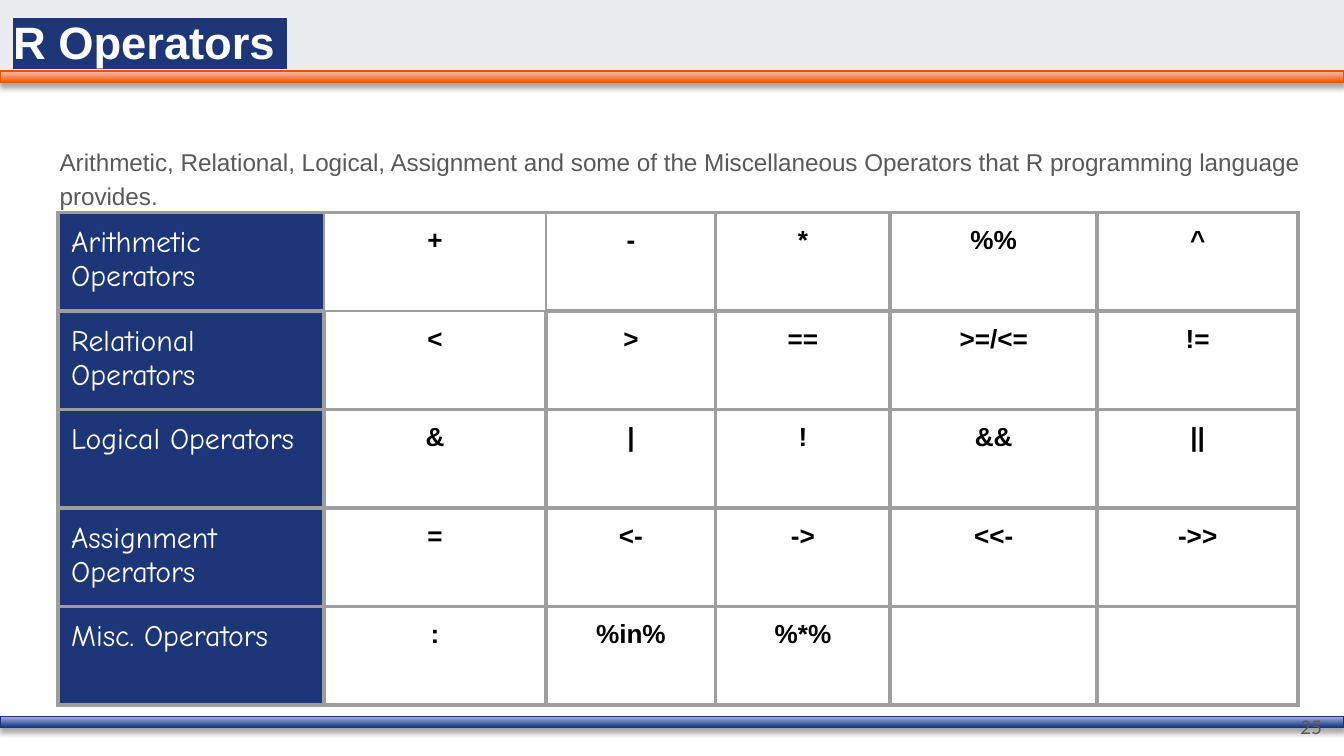
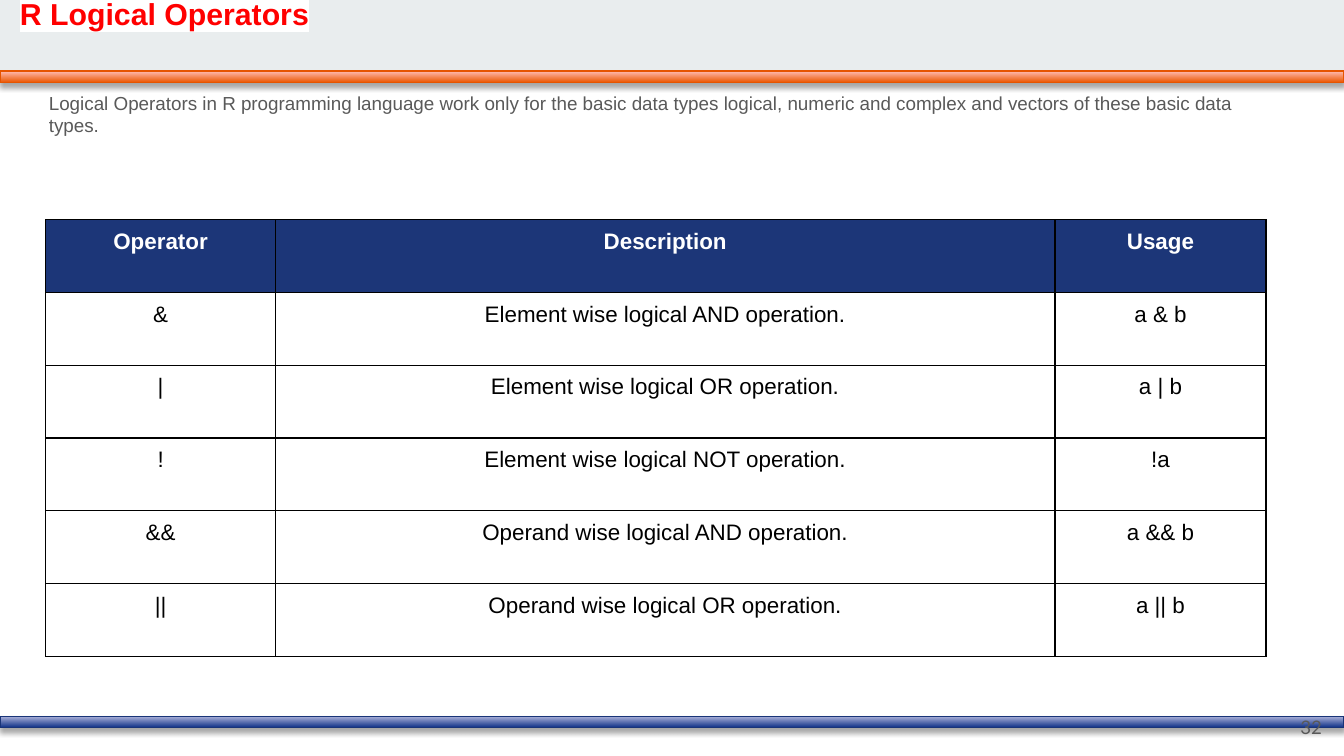
from lxml.etree import SubElement as Sub
from pptx import Presentation
from pptx.dml.color import RGBColor
from pptx.enum.shapes import MSO_SHAPE as Shape
from pptx.enum.text import MSO_ANCHOR as Anchor, PP_ALIGN as Align
from pptx.oxml.ns import qn
from pptx.util import Emu, Pt

SCALE = 4572  # 200 px to the inch
PAGE = (0, 0, 2000, 1125)
NAVY, WHITE, BLACK, GREY = "1C3678", "FFFFFF", "000000", "595959"

HEAD = dict(name="Arial", bold=True)
BODY = dict(name="Arial", color=GREY)
NUMBER = dict(name="Lato", size=10, color=GREY)
LABEL = dict(name="Comic Neue", size=16, color=WHITE)
SIGN = dict(name="Arial", size=14, bold=True, color=BLACK)
TOP = dict(name="Arial", size=12, bold=True, color=WHITE)
CELL = dict(name="Arial", size=12, color=BLACK)

OPS = [
    ["Arithmetic Operators", "+", "-", "*", "%%", "^"],
    ["Relational Operators", "<", ">", "==", ">=/<=", "!="],
    ["Logical Operators", "&", "|", "!", "&&", "||"],
    ["Assignment Operators", "=", "<-", "->", "<<-", "->>"],
    ["Misc. Operators", ":", "%in%", "%*%", "", ""],
]
LOGIC = [
    ["Operator", "Description", "Usage"],
    ["&", "Element wise logical AND operation.", "a & b"],
    ["|", "Element wise logical OR operation.", "a | b"],
    ["!", "Element wise logical NOT operation.", "!a"],
    ["&&", "Operand wise logical AND operation.", "a && b"],
    ["||", "Operand wise logical OR operation.", "a || b"],
]


def px(num):
    return Emu(num * SCALE)


def rgb(code):
    return RGBColor.from_string(code)


def put(item, vals):
    for key, val in vals.items():
        setattr(item, key, val)


def style(font, look):
    """Apply a text look, with its size in points and its colour in hex."""
    vals = dict(look)
    font.color.rgb = rgb(vals.pop("color"))
    vals["size"] = Pt(vals["size"])
    put(font, vals)


def pads(side, rise):
    return dict(margin_left=px(side), margin_right=px(side),
                margin_top=px(rise), margin_bottom=px(rise))


def write(slide, box, text, look, para, anchor=Anchor.TOP, mark=None, left=0):
    frame = slide.shapes.add_textbox(*map(px, box)).text_frame
    put(frame, dict(word_wrap=True, vertical_anchor=anchor, **pads(20, 20)))
    line = frame.paragraphs[0]
    put(line, para)
    if left:
        line._p.get_or_add_pPr().set("marL", str(px(left)))
    run = line.add_run()
    run.text = text
    style(run.font, look)
    if mark:
        props = run._r.get_or_add_rPr()
        tint = Sub(props, qn("a:highlight"))
        Sub(tint, qn("a:srgbClr"), val=mark)
        props.find(qn("a:solidFill")).addnext(tint)


def bar(slide, box, low, high, edge):
    """Thin glossy bar with a soft shadow below it."""
    strip = slide.shapes.add_shape(Shape.RECTANGLE, *map(px, box))
    strip.fill.gradient()
    strip.fill.gradient_angle = 90
    for stop, code in zip(strip.fill.gradient_stops, (low, high)):
        stop.color.rgb = rgb(code)
    strip.line.color.rgb = rgb(edge)
    strip.line.width = Pt(0.75)
    strip.shadow.inherit = False
    glow = Sub(strip._element.spPr.find(qn("a:effectLst")), qn("a:outerShdw"),
               blurRad=str(Pt(3.1)), dist=str(Pt(1.8)), dir="5400000",
               algn="ctr", rotWithShape="0")
    Sub(Sub(glow, qn("a:srgbClr"), val=BLACK), qn("a:alpha"), val="35000")


def base(deck, box):
    """New slide with the top band and both bars."""
    left, top, width, high = box
    slide = deck.slides.add_slide(deck.slide_layouts[6])
    band = slide.shapes.add_shape(Shape.RECTANGLE, *map(px, (left, top, width, 106)))
    band.fill.solid()
    band.fill.fore_color.rgb = rgb("E9EDEE")
    band.line.fill.background()
    band.shadow.inherit = False
    bar(slide, (left, top + 106, width, 17), "EB5600", "FFBCB3", "E65400")
    bar(slide, (left, top + high - 59, width, 17), "0E3086", "ADB3DB", "193478")
    return slide


def folio(slide, box, num):
    """Slide number in the bottom right corner."""
    left, top, width, high = box
    spot = (left + width - 133, top + high - 86, 120, 86)
    write(slide, spot, num, NUMBER, dict(alignment=Align.RIGHT), Anchor.MIDDLE)


def rule(cell, color, sizes):
    """Cell borders, from a dict of side to points."""
    props = cell._tc.get_or_add_tcPr()
    for spot, side in enumerate("LRTB"):
        line = Sub(props, qn("a:ln" + side), w=str(Pt(sizes[side])))
        Sub(Sub(line, qn("a:solidFill")), qn("a:srgbClr"), val=color)
        props.insert(spot, line)


def grid(slide, box, rows, cols, form):
    """Table; form(row, col) gives look, paragraph, fill, borders, insets."""
    left, top, width, high = box
    table = slide.shapes.add_table(len(rows), len(cols), *map(px, box)).table
    put(table, dict(first_row=False, horz_banding=False))
    for col, size in zip(table.columns, cols):
        col.width = px(size)
    for r, row in enumerate(rows):
        table.rows[r].height = Emu(px(high) // len(rows))
        for c, text in enumerate(row):
            cell = table.cell(r, c)
            look, para, fill, color, sizes, inset = form(r, c)
            put(cell, inset)
            if fill:
                cell.fill.solid()
                cell.fill.fore_color.rgb = rgb(fill)
            else:
                cell.fill.background()
            rule(cell, color, sizes)
            cell.text = text
            line = cell.text_frame.paragraphs[0]
            put(line, para)
            style(line.runs[0].font if line.runs else line.font, look)


def op_form(r, c):
    """Label column in navy; thin edges all around the plus cell."""
    thin = {(0, 0): "R", (0, 1): "LRTB", (0, 2): "L", (1, 1): "T"}.get((r, c), "")
    sizes = {side: 1.5 if side in thin else 2.25 for side in "LRTB"}
    first = c == 0
    para = dict(alignment=Align.LEFT if first else Align.CENTER)
    return (LABEL if first else SIGN, para, NAVY if first else None,
            "9E9E9E", sizes, pads(20, 20))


def log_form(r, c):
    """Header row in navy, hairline black grid."""
    para = dict(alignment=Align.CENTER, space_after=Pt(19))
    return (CELL if r else TOP, para, None if r else NAVY,
            BLACK, dict.fromkeys("LRTB", 0.75), pads(32, 14))


def all_ops(deck, box):
    left, top, width, high = box
    slide = base(deck, box)
    para = dict(line_spacing=1.15, space_after=Pt(12))
    # Title and lead text
    write(slide, (left, top - 11, 1864, 134), "R Operators ",
          dict(HEAD, size=24.3, color=WHITE), para, mark=NAVY)
    write(slide, (left + 69, top + 193, 1898, 806),
          "Arithmetic, Relational, Logical, Assignment and some of the "
          "Miscellaneous Operators that R programming language provides.",
          dict(BODY, size=13), para)
    # Operators by kind
    grid(slide, (left + 86, top + 316, 1846, 733), OPS,
         (396, 331, 252, 260, 308, 299), op_form)
    folio(slide, box, "25")


def logic(deck, box):
    left, top, width, high = box
    slide = base(deck, box)
    # Title and lead text
    write(slide, (left - 20, top - 48, 1864, 134), "R Logical Operators",
          dict(HEAD, size=16.2, color="FF0000"), dict(line_spacing=1.4),
          mark=WHITE, left=30)
    write(slide, (left + 53, top + 119, 1864, 142),
          "Logical Operators in R programming language work only for the basic "
          "data types logical, numeric and complex and vectors of these basic "
          "data types.",
          dict(BODY, size=10.1), dict(line_spacing=0.95, space_after=Pt(12)))
    # Operators with meaning and usage
    grid(slide, (left + 68, top + 327, 1816, 650), LOGIC, (342, 1160, 314), log_form)
    folio(slide, box, "32")


def main():
    deck = Presentation()
    put(deck, dict(slide_width=px(PAGE[2]), slide_height=px(PAGE[3])))
    all_ops(deck, PAGE)
    logic(deck, PAGE)
    deck.save("out.pptx")


if __name__ == "__main__":
    main()
